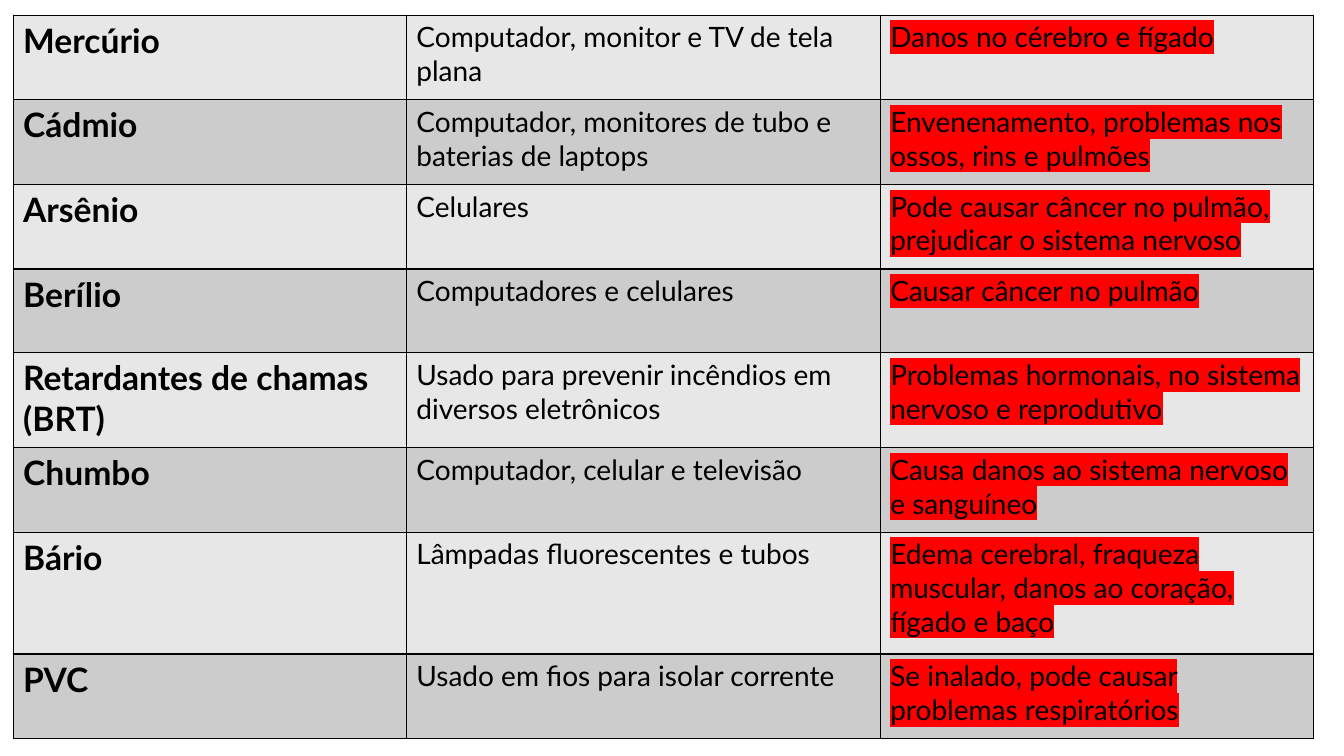
import pptx
import pptx.dml.color
import pptx.oxml
import pptx.oxml.ns
import pptx.util

# Content: substance, where it is found, harm to health
SUBSTANCES = [
    ("Mercúrio", "Computador, monitor e TV de tela plana", "Danos no cérebro e fígado"),
    ("Cádmio", "Computador, monitores de tubo e baterias de laptops",
     "Envenenamento, problemas nos ossos, rins e pulmões"),
    ("Arsênio", "Celulares", "Pode causar câncer no pulmão, prejudicar o sistema nervoso"),
    ("Berílio", "Computadores e celulares", "Causar câncer no pulmão"),
    ("Retardantes de chamas (BRT)", "Usado para prevenir incêndios em diversos eletrônicos",
     "Problemas hormonais, no sistema nervoso e reprodutivo"),
    ("Chumbo", "Computador, celular e televisão", "Causa danos ao sistema nervoso e sanguíneo"),
    ("Bário", "Lâmpadas fluorescentes e tubos",
     "Edema cerebral, fraqueza muscular, danos ao coração, fígado e baço"),
    ("PVC", "Usado em fios para isolar corrente", "Se inalado, pode causar problemas respiratórios"),
]
COLORS = {"ink": "000000", "light": "E7E7E7", "dark": "CCCCCC", "alert": "FF0000"}
FONT = "Lato"

# Grid in inches; rows share one height except where the text needs another
SLIDE_WIDTH, SLIDE_HEIGHT = 13.33, 7.5
TABLE_LEFT, TABLE_TOP = 0.13, 0.15
COLUMN_WIDTHS = [3.9, 4.7, 4.3]
ROW_HEIGHT = 0.84
SPECIAL_HEIGHTS = {3: 0.83, 4: 0.94, 6: 1.21}
ROW_HEIGHTS = [SPECIAL_HEIGHTS.get(i, ROW_HEIGHT) for i in range(len(SUBSTANCES))]

# Format of each column
COLUMN_FORMATS = [
    {"size": 24, "bold": True},
    {"size": 20},
    {"size": 20, "highlight": COLORS["alert"]},
]


def rgb(color):
    return pptx.dml.color.RGBColor.from_string(color)


def xml_part(tag, color, attributes="", filled=True):
    inner = f'<a:srgbClr val="{color}"/>'
    if filled:
        inner = f"<a:solidFill>{inner}</a:solidFill>"
    namespace = pptx.oxml.ns.nsdecls("a")
    return pptx.oxml.parse_xml(f"<a:{tag} {namespace} {attributes}>{inner}</a:{tag}>")


def write(para, text, size=20, bold=False, highlight=None):
    span = para.add_run()
    span.text = text
    span.font.size = pptx.util.Pt(size)
    span.font.bold = bold
    span.font.color.rgb = rgb(COLORS["ink"])
    span.font.name = FONT
    properties = span.font._element
    if highlight:
        fill = properties.find(pptx.oxml.ns.qn("a:solidFill"))
        fill.addnext(xml_part("highlight", highlight, filled=False))
    outline = f'w="{pptx.util.Pt(0.75)}"'
    properties.insert(0, xml_part("ln", COLORS["ink"], outline))


def style_cell(cell, color):
    cell.fill.solid()
    cell.fill.fore_color.rgb = rgb(color)
    properties = cell._tc.get_or_add_tcPr()
    for place, side in enumerate(("lnL", "lnR", "lnT", "lnB")):
        width = f'w="{pptx.util.Pt(1)}"'
        properties.insert(place, xml_part(side, COLORS["ink"], width))


def build():
    deck = pptx.Presentation()
    deck.slide_width = pptx.util.Inches(SLIDE_WIDTH)
    deck.slide_height = pptx.util.Inches(SLIDE_HEIGHT)
    page = deck.slides.add_slide(deck.slide_layouts[6])

    # Table frame
    frame = page.shapes.add_table(
        len(ROW_HEIGHTS), len(COLUMN_WIDTHS),
        pptx.util.Inches(TABLE_LEFT), pptx.util.Inches(TABLE_TOP),
        pptx.util.Inches(sum(COLUMN_WIDTHS)), pptx.util.Inches(sum(ROW_HEIGHTS)))
    table = frame.table
    table.first_row = False
    table.horz_banding = False
    for column, width in zip(table.columns, COLUMN_WIDTHS):
        column.width = pptx.util.Inches(width)

    # Banded rows
    for i, (row, height) in enumerate(zip(table.rows, ROW_HEIGHTS)):
        row.height = pptx.util.Inches(height)
        band = COLORS["dark" if i % 2 else "light"]
        for cell, text, text_format in zip(row.cells, SUBSTANCES[i], COLUMN_FORMATS):
            style_cell(cell, band)
            write(cell.text_frame.paragraphs[0], text, **text_format)

    deck.save("out.pptx")


if __name__ == "__main__":
    build()
